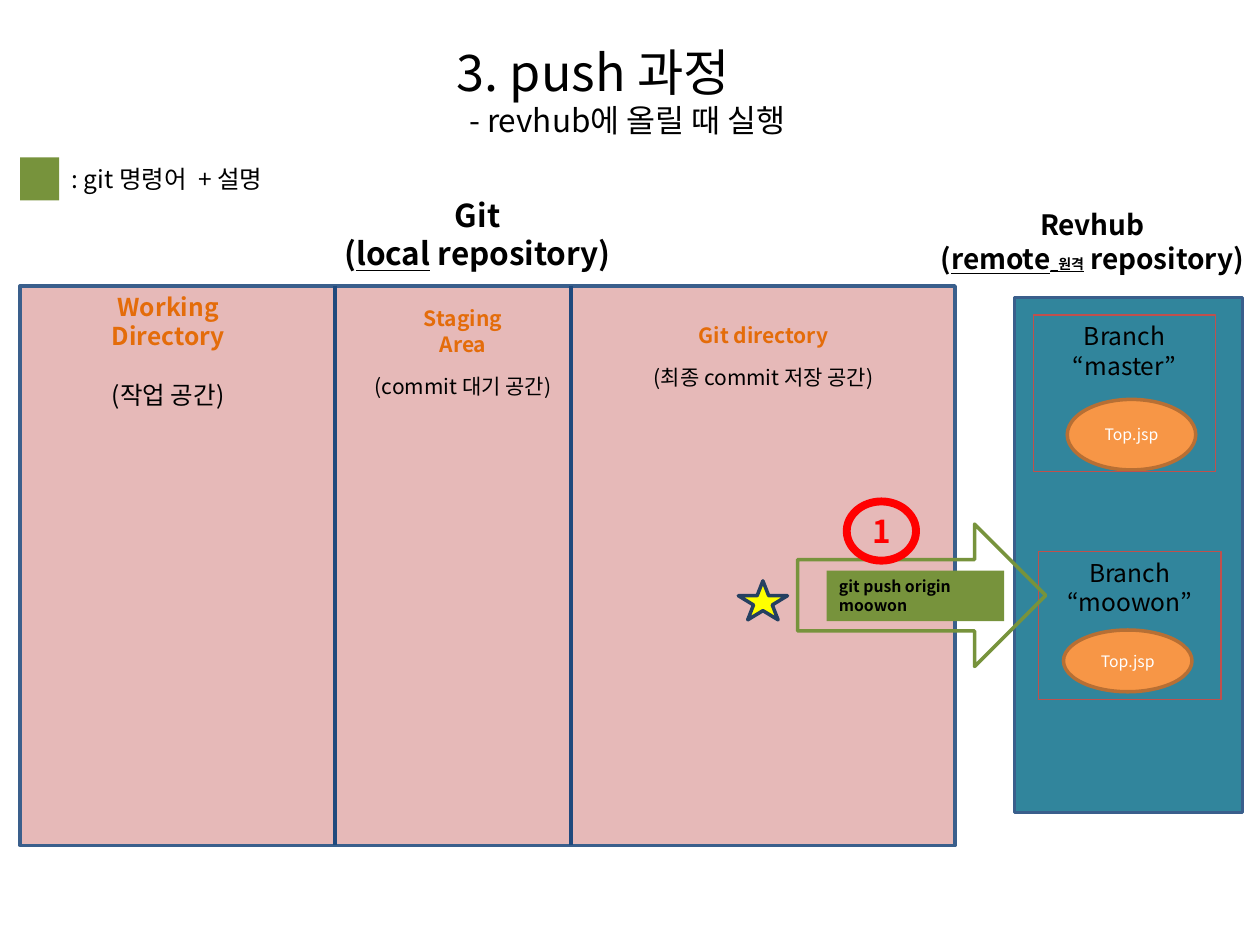
from dataclasses import dataclass

from lxml.etree import SubElement
from pptx import Presentation
from pptx.dml.color import RGBColor
from pptx.enum.shapes import MSO_CONNECTOR, MSO_SHAPE
from pptx.enum.text import MSO_ANCHOR, PP_ALIGN
from pptx.oxml.ns import qn
from pptx.util import Inches, Pt


@dataclass(frozen=True)
class Theme:
    """Colours, font and type sizes of the slide."""
    font: str = "Noto Sans CJK KR"
    black: str = "000000"
    white: str = "FFFFFF"
    pink: str = "E6B9B8"
    teal: str = "31859C"
    frame: str = "3A5F8C"
    navy: str = "1F497D"
    accent: str = "E46C0A"
    orange: str = "F79646"
    brown: str = "B76F34"
    brick: str = "C0504D"
    green: str = "77933C"
    red: str = "FF0000"
    yellow: str = "FFFF00"
    star_edge: str = "254061"
    title: float = 28.8
    large: float = 18
    heading: float = 16
    body: float = 14
    label: float = 12
    small: float = 9
    tiny: float = 8


THEME = Theme()


def line(*runs, size=THEME.body, color=THEME.black, bold=False, before=0, indent=0):
    """Describe one paragraph; a run is text or (text, underlined, size)."""
    return dict(runs=runs, size=size, color=color, bold=bold, before=before, indent=indent)


def write(shape, lines, align=PP_ALIGN.CENTER, anchor=MSO_ANCHOR.MIDDLE):
    """Fill a shape with the described paragraphs."""
    frame = shape.text_frame
    frame.word_wrap = True
    frame.vertical_anchor = anchor
    for index, item in enumerate(lines):
        paragraph = frame.paragraphs[0] if index == 0 else frame.add_paragraph()
        paragraph.alignment = align
        paragraph.space_before = Pt(item["before"])
        if item["indent"]:
            paragraph._p.get_or_add_pPr().set("marL", str(Inches(item["indent"])))
        font = paragraph.font
        font.name, font.size, font.bold = THEME.font, Pt(item["size"]), item["bold"]
        font.color.rgb = RGBColor.from_string(item["color"])
        for part in item["runs"]:
            text, underlined, size = (part, False, None) if isinstance(part, str) else part
            run = paragraph.add_run()
            run.text = text
            if underlined:
                run.font.underline = True
            if size:
                run.font.size = Pt(size)


def add_text(slide, box, lines, **layout):
    """Place a text box."""
    write(slide.shapes.add_textbox(*map(Inches, box)), lines, **layout)


def add_block(slide, kind, box, fill=None, edge=None, weight=2.0):
    """Place a preset shape with an optional fill and outline."""
    block = slide.shapes.add_shape(kind, *map(Inches, box))
    block.shadow.inherit = False
    if fill:
        block.fill.solid()
        block.fill.fore_color.rgb = RGBColor.from_string(fill)
    else:
        block.fill.background()
    if edge:
        block.line.color.rgb = RGBColor.from_string(edge)
        block.line.width = Pt(weight)
    else:
        block.line.fill.background()
    return block


def add_title(slide, box):
    """Title with its subtitle shifted to the right."""
    add_text(slide, box, [line("3. push 과정", size=THEME.title),
                          line("- revhub에 올릴 때 실행", size=THEME.large, indent=0.54)])


def add_legend(slide, box):
    """Green key and its meaning."""
    left, top, width, height = box
    key = 0.31
    add_block(slide, MSO_SHAPE.RECTANGLE, (left, top, key, height), THEME.green)
    add_text(slide, (left + key, top, width - key, height),
             [line(": git 명령어  + 설명")], align=PP_ALIGN.LEFT, anchor=MSO_ANCHOR.TOP)


def add_local_repository(slide, box):
    """Local repository with three areas and their dividers."""
    left, top, width, height = box
    add_block(slide, MSO_SHAPE.RECTANGLE, box, THEME.pink, THEME.frame)
    add_text(slide, (left + 1.87, top - 0.84, 3.52, 0.86),
             [line("Git", size=THEME.large, bold=True),
              line("(", ("local", True, None), " repository)", size=THEME.large, bold=True)])
    for offset in (2.5, 4.37):
        x = left + offset
        divider = slide.shapes.add_connector(
            MSO_CONNECTOR.STRAIGHT, *map(Inches, (x, top, x, top + height)))
        divider.line.color.rgb = RGBColor.from_string(THEME.navy)
        divider.line.width = Pt(2.25)
        SubElement(divider._element.spPr, qn("a:effectLst"))
    areas = [
        (0.39, 0.09, 1.57, THEME.body, 17, ("Working", "Directory"), "(작업 공간)"),
        (2.42, 0.10, 2.19, THEME.label, 9.6, ("Staging", "Area"), "(commit 대기 공간)"),
        (4.61, 0.13, 2.58, THEME.label, 9.6, ("Git directory",), "(최종 commit 저장 공간)"),
    ]
    for dx, dy, area_width, size, gap, names, role in areas:
        add_text(slide, (left + dx, top + dy, area_width, 0.85),
                 [line(name, size=size, color=THEME.accent, bold=True) for name in names]
                 + [line(role, size=size, before=gap)])


def add_branch(slide, box, branch, file_box):
    """Framed branch holding one file; file_box is relative to the frame."""
    left, top = box[:2]
    dx, dy, width, height = file_box
    file = add_block(slide, MSO_SHAPE.OVAL, (left + dx, top + dy, width, height),
                     THEME.orange, THEME.brown)
    write(file, [line("Top.jsp", size=THEME.small, color=THEME.white)])
    frame = add_block(slide, MSO_SHAPE.RECTANGLE, box, edge=THEME.brick, weight=0.75)
    write(frame, [line("Branch"), line(f"“{branch}”")], anchor=MSO_ANCHOR.TOP)


def add_remote_repository(slide, box):
    """Remote repository with its two branches."""
    left, top = box[:2]
    add_block(slide, MSO_SHAPE.RECTANGLE, box, THEME.teal, THEME.frame)
    add_text(slide, (left - 0.71, top - 0.86, 2.66, 0.83),
             [line("Revhub", size=THEME.heading, bold=True),
              line("(", ("remote", True, None), ("_원격", True, THEME.tiny), " repository)",
                   size=THEME.heading, bold=True)])
    add_branch(slide, (left + 0.15, top + 0.14, 1.45, 1.24), "master", (0.27, 0.67, 1.02, 0.56))
    add_branch(slide, (left + 0.19, top + 2.02, 1.45, 1.17), "moowon", (0.2, 0.62, 1.02, 0.49))


def add_push_step(slide, box):
    """Push arrow with command, step number and the commit star."""
    left, top = box[:2]
    add_block(slide, MSO_SHAPE.RIGHT_ARROW, box, edge=THEME.green)
    command = add_block(slide, MSO_SHAPE.RECTANGLE, (left + 0.23, top + 0.37, 1.41, 0.4),
                        THEME.green)
    write(command, [line("git push origin moowon", size=THEME.small, bold=True)],
          align=PP_ALIGN.LEFT, anchor=MSO_ANCHOR.TOP)
    step = add_block(slide, MSO_SHAPE.OVAL, (left + 0.39, top - 0.18, 0.55, 0.47),
                     edge=THEME.red, weight=4.5)
    write(step, [line("1", size=THEME.large, color=THEME.red, bold=True)])
    add_block(slide, MSO_SHAPE.STAR_5_POINT, (left - 0.47, top + 0.45, 0.39, 0.31),
              THEME.yellow, THEME.star_edge)


def build():
    """Build and save the slide."""
    deck = Presentation()
    deck.slide_width, deck.slide_height = Inches(10), Inches(7.5)
    slide = deck.slides.add_slide(deck.slide_layouts[6])
    add_title(slide, (2.97, 0.23, 3.48, 0.97))
    add_local_repository(slide, (0.16, 2.27, 7.42, 4.44))
    add_remote_repository(slide, (8.05, 2.36, 1.81, 4.09))
    add_push_step(slide, (6.33, 4.16, 1.97, 1.13))
    add_legend(slide, (0.16, 1.25, 2.89, 0.34))
    deck.save("out.pptx")


build()
